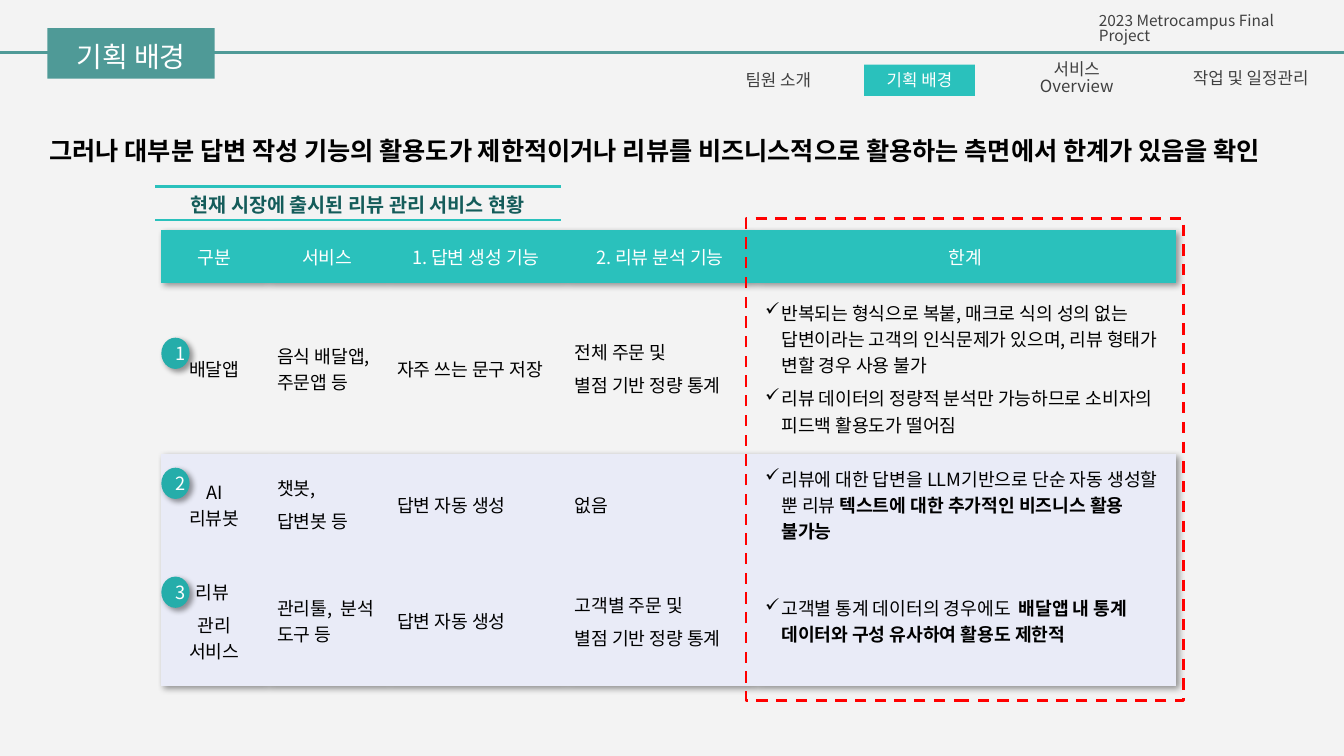
from lxml import etree
from pptx import Presentation
from pptx.dml.color import RGBColor
from pptx.enum import dml, shapes, text
from pptx.oxml import ns
from pptx.util import Inches, Pt

FONT = "Noto Sans CJK KR"
TEAL, DARK_TEAL, GRAY, WHITE, BLACK = "2AC1BC", "4F9A97", "404040", "FFFFFF", "000000"
BAND = "E9EBF7"
CENTER, LEFT, JUSTIFY = text.PP_ALIGN.CENTER, text.PP_ALIGN.LEFT, text.PP_ALIGN.JUSTIFY
TOP, MIDDLE = text.MSO_ANCHOR.TOP, text.MSO_ANCHOR.MIDDLE

HEADLINE = "그러나 대부분 답변 작성 기능의 활용도가 제한적이거나 리뷰를 비즈니스적으로 활용하는 측면에서 한계가 있음을 확인"
SECTION = "기획 배경"
PROJECT = "2023 Metrocampus Final Project"
TABLE_TITLE = "현재 시장에 출시된 리뷰 관리 서비스 현황 "
TABS = [
    ("팀원 소개", 7.17, 1.1, 0.31),
    ("기획 배경", 8.57, 1.1, 0.31),
    ("서비스 Overview", 9.98, 1.4, 0.29),
    ("작업 및 일정관리", 11.68, 1.45, 0.27),
]
HEADER = ["구분", "서비스", "1. 답변 생성 기능", "2. 리뷰 분석 기능", "한계"]
SERVICES = [
    [["배달앱"], ["음식 배달앱, 주문앱 등"], ["자주 쓰는 문구 저장"],
     ["전체 주문 및", "별점 기반 정량 통계"],
     ["반복되는 형식으로 복붙, 매크로 식의 성의 없는 답변이라는 고객의 인식문제가 있으며, 리뷰 형태가 변할 경우 사용 불가",
      "리뷰 데이터의 정량적 분석만 가능하므로 소비자의 피드백 활용도가 떨어짐"]],
    [["AI\n리뷰봇"], ["챗봇,", "답변봇 등"], ["답변 자동 생성"], ["없음"],
     [("리뷰에 대한 답변을 LLM기반으로 단순 자동 생성할 뿐 리뷰 ",
       "텍스트에 대한 추가적인 비즈니스 활용 불가능")]],
    [["리뷰 ", "관리 서비스"], ["관리툴,  분석 도구 등"], ["답변 자동 생성"],
     ["고객별 주문 및", "별점 기반 정량 통계"],
     [("고객별 통계 데이터의 경우에도  ",
       "배달앱 내 통계 데이터와 구성 유사하여 활용도 제한적")]],
]
COLUMNS = [1.05, 1.19, 1.76, 1.89, 4.17]
ROWS = [0.53, 1.69, 1.01, 1.3]
TABLE_LEFT, TABLE_TOP = 1.6, 2.28
BADGE_TOPS = [3.35, 4.64, 5.72]
NO_GRID_STYLE = "{2D5ABB26-0587-4C30-8999-92F81FD0307C}"


def color(value):
    return RGBColor.from_string(value)


def inches(*lengths):
    return [Inches(length) for length in lengths]


def add_element(parent, tag, **attributes):
    return etree.SubElement(parent, ns.qn(tag), {k: str(v) for k, v in attributes.items()})


def fill_shadow(effects):
    shadow = add_element(effects, "a:outerShdw", blurRad=Pt(4), dist=Pt(3), dir=45 * 60000,
                         algn="tl", rotWithShape=0)
    tint = add_element(shadow, "a:srgbClr", val=BLACK)
    add_element(tint, "a:alpha", val=40000)


def format_paragraph(paragraph, size, hue, align=CENTER, bold=False, spacing=None, after=None):
    paragraph.alignment = align
    if spacing:
        paragraph.line_spacing = spacing
    if after:
        paragraph.space_after = Pt(after)
    font = paragraph.font
    font.size, font.bold, font.name = Pt(size), bold, FONT
    font.color.rgb = color(hue)
    defaults = paragraph._p.pPr.find(ns.qn("a:defRPr"))
    add_element(defaults, "a:ea", typeface=FONT)


def write(shape, content, size, hue, anchor=MIDDLE, inset=None, **style):
    frame = shape.text_frame
    frame.word_wrap = True
    frame.auto_size = text.MSO_AUTO_SIZE.NONE
    frame.vertical_anchor = anchor
    if inset is not None:
        frame.margin_left = frame.margin_right = Inches(inset)
        frame.margin_top = frame.margin_bottom = Inches(inset)
    frame.text = content
    format_paragraph(frame.paragraphs[0], size, hue, **style)


def add_box(slide, kind, place, fill=None):
    shape = slide.shapes.add_shape(kind, *inches(*place))
    shape.shadow.inherit = False
    shape.line.fill.background()
    if fill:
        shape.fill.solid()
        shape.fill.fore_color.rgb = color(fill)
    else:
        shape.fill.background()
    return shape


def add_rule(slide, left, right, y, hue, width):
    rule = slide.shapes.add_connector(shapes.MSO_CONNECTOR.STRAIGHT, *inches(left, y, right, y))
    rule.line.color.rgb = color(hue)
    rule.line.width = Pt(width)
    add_element(rule.element.spPr, "a:effectLst")


def write_cell(cell, paragraphs, hue, align, after=None, bullets=False):
    cell.vertical_anchor = MIDDLE
    frame = cell.text_frame
    for index, content in enumerate(paragraphs):
        paragraph = frame.add_paragraph() if index else frame.paragraphs[0]
        plain, *strong = [content] if isinstance(content, str) else content
        paragraph.text = plain
        for words in strong:
            run = paragraph.add_run()
            run.text = words
            run.font.bold = True
        if bullets:
            properties = paragraph._p.get_or_add_pPr()
            properties.set("marL", str(Inches(0.16)))
            properties.set("indent", str(-Inches(0.16)))
            add_element(properties, "a:buChar", char="✓")
        format_paragraph(paragraph, 13, hue, align=align, after=after)


def add_service_table(slide):
    place = inches(TABLE_LEFT, TABLE_TOP, sum(COLUMNS), sum(ROWS))
    table = slide.shapes.add_table(len(ROWS), len(COLUMNS), *place).table
    properties = table._tbl.tblPr
    style = properties.find(ns.qn("a:tableStyleId"))
    style.text = NO_GRID_STYLE
    effects = add_element(properties, "a:effectLst")
    fill_shadow(effects)
    style.addprevious(effects)
    for column, width in zip(table.columns, COLUMNS):
        column.width = Inches(width)
    for row, height in zip(table.rows, ROWS):
        row.height = Inches(height)
    for index, title in enumerate(HEADER):
        write_cell(table.cell(0, index), [title], WHITE, CENTER)
    last = len(COLUMNS) - 1
    for row, service in enumerate(SERVICES, 1):
        for index, paragraphs in enumerate(service):
            write_cell(table.cell(row, index), paragraphs, BLACK, LEFT if index else CENTER,
                       after=5, bullets=index == last)
    for row, fill in enumerate([TEAL, None, BAND, BAND]):
        for cell in table.rows[row].cells:
            if fill:
                cell.fill.solid()
                cell.fill.fore_color.rgb = color(fill)
            else:
                cell.fill.background()


def main():
    presentation = Presentation()
    presentation.slide_width, presentation.slide_height = inches(13.33, 7.5)
    slide = presentation.slides.add_slide(presentation.slide_layouts[5])
    slide.background.fill.solid()
    slide.background.fill.fore_color.rgb = color("F3F3F3")

    headline = slide.shapes.title
    headline.left, headline.top, headline.width, headline.height = inches(0.49, 1.34, 12.49, 0.72)
    write(headline, HEADLINE, 18, BLACK, anchor=TOP, inset=0, align=JUSTIFY, bold=True)

    project = slide.shapes.add_textbox(*inches(10.8, 0.1, 2.38, 0.29))
    write(project, PROJECT, 11, GRAY, anchor=TOP, align=LEFT, spacing=0.8)

    add_service_table(slide)
    add_rule(slide, 0, 13.33, 0.52, DARK_TEAL, 2)

    table_title = slide.shapes.add_textbox(*inches(1.58, 1.85, 3.98, 0.34))
    write(table_title, TABLE_TITLE, 14, "145C5A", inset=0, bold=True, spacing=1.1, after=2.9)
    for y in (1.85, 2.18):
        add_rule(slide, 1.54, 5.56, y, TEAL, 1.5)

    for label, left, width, height in TABS:
        active = label == SECTION
        tab = add_box(slide, shapes.MSO_SHAPE.PENTAGON, (left, 0.64, width, height),
                      TEAL if active else None)
        tab.adjustments[0] = 0
        write(tab, label, 12, WHITE if active else GRAY,
              spacing=0.82 if "Overview" in label else None)

    section = add_box(slide, shapes.MSO_SHAPE.RECTANGLE, (0.47, 0.28, 1.66, 0.5), DARK_TEAL)
    write(section, SECTION, 20, WHITE, anchor=TOP, spacing=1.2)

    for number, top in enumerate(BADGE_TOPS, 1):
        badge = add_box(slide, shapes.MSO_SHAPE.OVAL, (TABLE_LEFT, top, 0.28, 0.31), "25ADAA")
        fill_shadow(badge.element.spPr.find(ns.qn("a:effectLst")))
        write(badge, str(number), 13, WHITE)

    limits_frame = add_box(slide, shapes.MSO_SHAPE.RECTANGLE, (7.4, 2.17, 4.34, 4.78))
    limits_frame.line.color.rgb = color("FF0000")
    limits_frame.line.width = Pt(2)
    limits_frame.line.dash_style = dml.MSO_LINE.DASH

    presentation.save("out.pptx")


if __name__ == "__main__":
    main()
